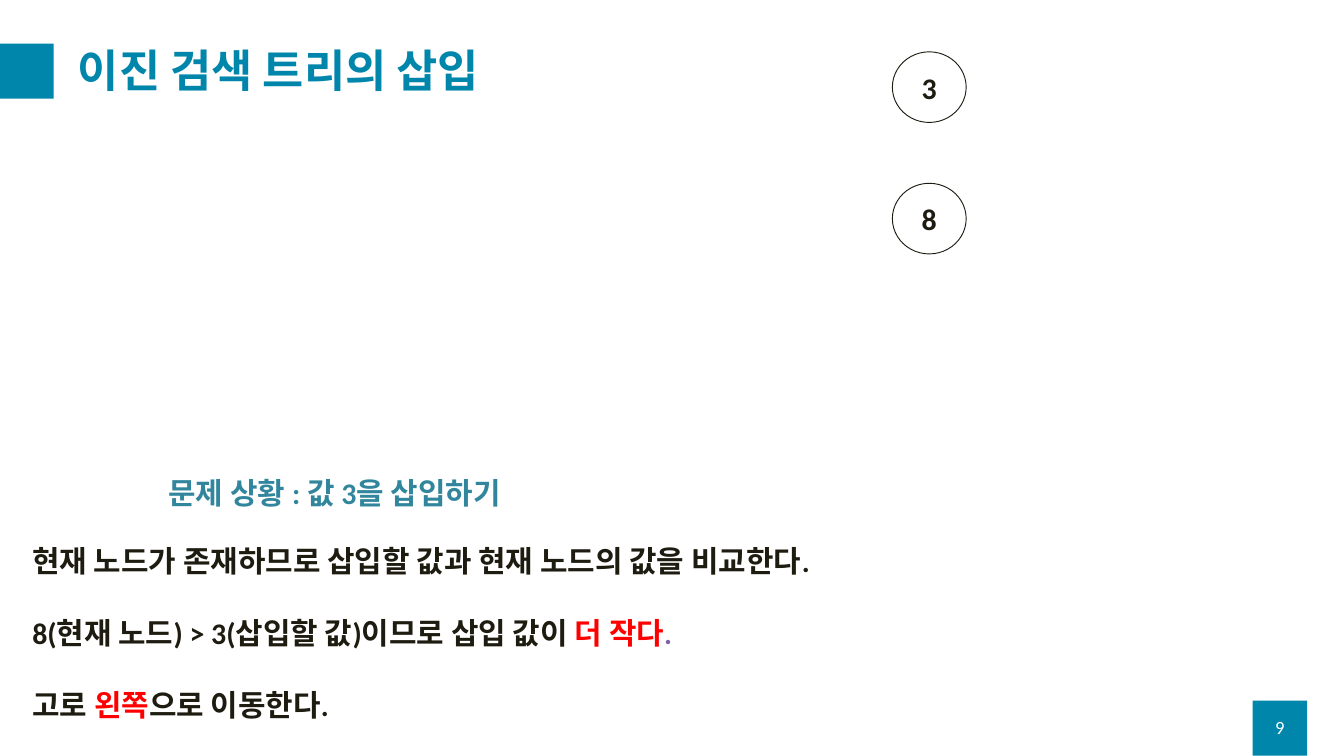
from pptx import Presentation
from pptx.dml.color import RGBColor
from pptx.enum.shapes import MSO_SHAPE
from pptx.enum.text import MSO_ANCHOR, MSO_AUTO_SIZE, PP_ALIGN
from pptx.util import Cm, Pt

TEAL = RGBColor(0x00, 0x86, 0xAB)
BLUE = RGBColor(0x31, 0x85, 0x9C)
INK = RGBColor(0x1E, 0x1C, 0x11)
RED = RGBColor(0xFF, 0x00, 0x00)
PURPLE = RGBColor(0x80, 0x64, 0xA2)
WHITE = RGBColor(0xFF, 0xFF, 0xFF)

RECTANGLE, OVAL = MSO_SHAPE.RECTANGLE, MSO_SHAPE.OVAL
TOP, MIDDLE = MSO_ANCHOR.TOP, MSO_ANCHOR.MIDDLE
LEFT, CENTER = PP_ALIGN.LEFT, PP_ALIGN.CENTER
FIT_SHAPE = MSO_AUTO_SIZE.SHAPE_TO_FIT_TEXT
NO_FIT = MSO_AUTO_SIZE.NONE


class SlideBuilder:
    font = "Calibri"
    text_size = 32
    paragraph_gap = 38.5

    def __init__(self, slide):
        self.slide = slide

    def add_runs(self, paragraph, runs, size, bold=True, align=LEFT):
        paragraph.alignment = align
        for words, color in runs:
            run = paragraph.add_run()
            run.text = words
            run.font.name = self.font
            run.font.size = Pt(size)
            run.font.bold = bold
            run.font.color.rgb = color

    def title(self, words, left, top, width, height):
        heading = self.slide.shapes.title
        heading.left, heading.top = Cm(left), Cm(top)
        heading.width, heading.height = Cm(width), Cm(height)
        frame = heading.text_frame
        frame.vertical_anchor = MIDDLE
        frame.auto_size = NO_FIT
        frame.paragraphs[0].line_spacing = 0.9
        self.add_runs(frame.paragraphs[0], [(words, TEAL)], 48)

    def block(self, left, top):
        block = self.slide.shapes.add_shape(
            RECTANGLE, Cm(left), Cm(top), Cm(2.06), Cm(2.08))
        block.shadow.inherit = False
        block.fill.solid()
        block.fill.fore_color.rgb = TEAL
        block.line.fill.background()

    def node(self, value, top):
        node = self.slide.shapes.add_shape(
            OVAL, Cm(33.73), Cm(top), Cm(2.79), Cm(2.67))
        node.shadow.inherit = False
        node.fill.solid()
        node.fill.fore_color.rgb = WHITE
        node.line.color.rgb = INK
        node.line.width = Pt(1)
        node.text_frame.vertical_anchor = MIDDLE
        self.add_runs(node.text_frame.paragraphs[0], [(value, INK)],
                      self.text_size, align=CENTER)

    def text(self, paragraphs, left, top, width, height):
        frame = self.slide.shapes.add_textbox(
            Cm(left), Cm(top), Cm(width), Cm(height)).text_frame
        frame.word_wrap = True
        frame.auto_size = FIT_SHAPE
        frame.vertical_anchor = TOP
        for index, runs in enumerate(paragraphs):
            paragraph = frame.add_paragraph() if index else frame.paragraphs[0]
            if index:
                paragraph.space_before = Pt(self.paragraph_gap)
            self.add_runs(paragraph, runs, self.text_size)

    def page_number(self, number, left, top, width, height):
        frame = self.slide.shapes.add_textbox(
            Cm(left), Cm(top), Cm(width), Cm(height)).text_frame
        frame.word_wrap = True
        frame.vertical_anchor = MIDDLE
        self.add_runs(frame.paragraphs[0], [(number, WHITE)], 20,
                      bold=False, align=CENTER)


def main():
    deck = Presentation()
    deck.slide_width, deck.slide_height = Cm(50.8), Cm(28.58)
    page = SlideBuilder(deck.slides.add_slide(deck.slide_layouts[5]))

    page.block(47.35, 26.49)
    page.block(-0.03, 1.65)
    page.title("이진 검색 트리의 삽입", 2.69, 1.27, 46.36, 3)
    page.page_number("9", 47.35, 26.72, 2.06, 1.52)

    page.text([[("문제 상황 : 값 3을 삽입하기", BLUE)]], 6.12, 17.81, 14.73, 1.63)
    page.node("8", 6.93)
    page.text([
        [("현재 노드가 존재하므로 삽입할 값과 현재 노드의 값을 비교한다.", INK)],
        [("8(현재 노드) > 3(삽입할 값)이므로 삽입 값이 ", INK),
         ("더 작다", RED), (".", PURPLE)],
        [("고로 ", INK), ("왼쪽", RED), ("으로 이동한다.", INK)],
    ], 0.97, 20.4, 32.77, 7.09)
    page.node("3", 1.96)

    deck.save("out.pptx")


if __name__ == "__main__":
    main()
